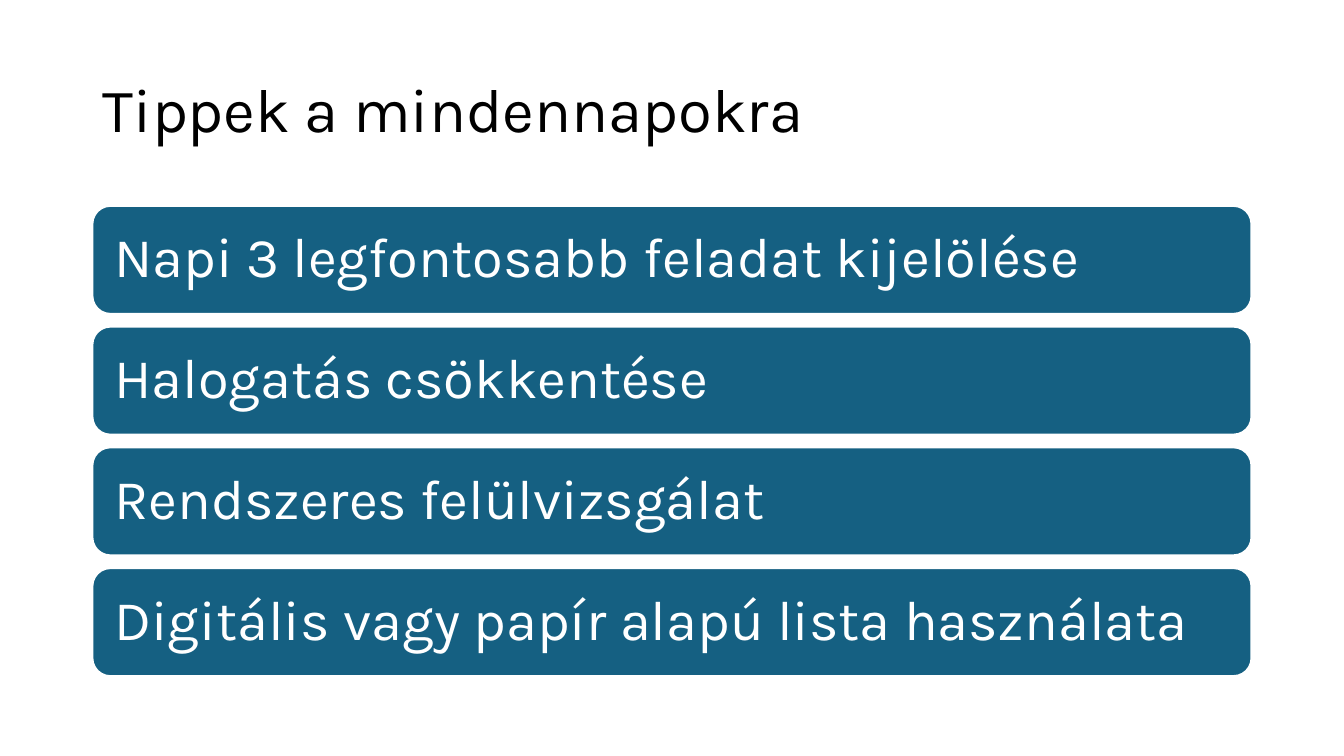
from pptx import Presentation, util as u
from pptx.dml.color import RGBColor
from pptx.enum import shapes, text

TITLE = "Tippek a mindennapokra"
TIPS = [
    "Napi 3 legfontosabb feladat kijelölése",
    "Halogatás csökkentése",
    "Rendszeres felülvizsgálat",
    "Digitális vagy papír alapú lista használata",
]
THEME = {
    "font": "Karla",
    "title": (44, RGBColor(0, 0, 0)),
    "tip": (40, RGBColor(255, 255, 255)),
    "bar": RGBColor(0x15, 0x60, 0x82),
    "edge": RGBColor(255, 255, 255),
}
PX = 9525  # EMU, 96 px to the inch
LEFT, WIDTH = 88, 1104
TITLE_TOP, TITLE_HIGH = 38, 139
BAR_TOP, BAR_HIGH, BAR_STEP = 196, 103, 115


def box(top, high):
    return [n * PX for n in (LEFT, top, WIDTH, high)]


def write(shape, words, style, inset):
    """Put one left-aligned, vertically centred line of text in a shape."""
    frame = shape.text_frame
    frame.word_wrap = True
    frame.vertical_anchor = text.MSO_ANCHOR.MIDDLE
    frame.margin_left = frame.margin_right = inset * PX
    line = frame.paragraphs[0]
    line.text = words
    line.alignment = text.PP_ALIGN.LEFT
    line.line_spacing = 0.9
    size, color = THEME[style]
    line.font.name = THEME["font"]
    line.font.size = u.Pt(size)
    line.font.color.rgb = color


def add_bar(slide, top, words):
    bar = slide.shapes.add_shape(
        shapes.MSO_SHAPE.ROUNDED_RECTANGLE, *box(top, BAR_HIGH))
    bar.shadow.inherit = False
    bar.fill.solid()
    bar.fill.fore_color.rgb = THEME["bar"]
    bar.line.color.rgb = THEME["edge"]
    bar.line.width = u.Pt(1.5)
    write(bar, words, "tip", 16)


def main():
    deck = Presentation()
    deck.slide_width, deck.slide_height = 1280 * PX, 720 * PX
    slide = deck.slides.add_slide(deck.slide_layouts[6])
    head = slide.shapes.add_textbox(*box(TITLE_TOP, TITLE_HIGH))
    write(head, TITLE, "title", 10)
    for i, tip in enumerate(TIPS):
        add_bar(slide, BAR_TOP + i * BAR_STEP, tip)
    deck.save("out.pptx")


if __name__ == "__main__":
    main()
